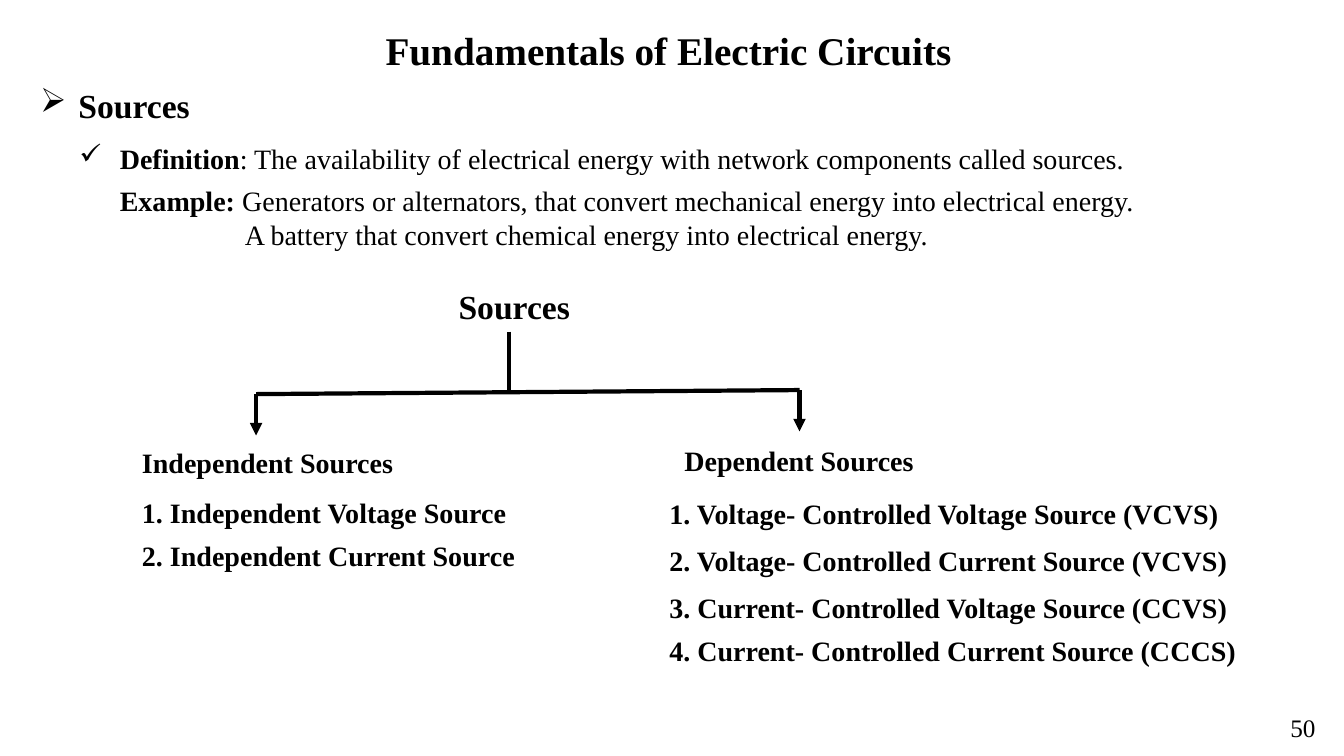
import pptx
import pptx.util
import pptx.dml.color
import pptx.enum.shapes
import pptx.enum.text
import pptx.oxml
import pptx.oxml.ns
import lxml.etree

Inches = pptx.util.Inches
Pt = pptx.util.Pt
qn = pptx.oxml.ns.qn
COLORS = {"ink": "000000", "page": "FFFFFF"}
FONT = "Times New Roman"


def ink():
    return pptx.dml.color.RGBColor.from_string(COLORS["ink"])


def style(run, size, bold):
    run.font.name = FONT
    run.font.size = Pt(size)
    run.font.bold = bold
    run.font.color.rgb = ink()


def label(slide, box, text, size, bold=True, wrap=False, line=None):
    shape = slide.shapes.add_textbox(*map(Inches, box))
    frame = shape.text_frame
    frame.word_wrap = wrap
    frame.auto_size = pptx.enum.text.MSO_AUTO_SIZE.SHAPE_TO_FIT_TEXT
    frame.text = text
    para = frame.paragraphs[0]
    if line:
        para.line_spacing = line
        para.space_after = Pt(8)
    style(para.runs[0], size, bold)


def link(slide, start, end, arrow=False):
    kind = pptx.enum.shapes.MSO_CONNECTOR.STRAIGHT
    line = slide.shapes.add_connector(kind, *map(Inches, start + end))
    line.line.color.rgb = ink()
    line.line.width = Pt(3)
    if arrow:
        tail = lxml.etree.SubElement(line.line._get_or_add_ln(), qn("a:tailEnd"))
        tail.set("type", "triangle")
    lxml.etree.SubElement(line._element.spPr, qn("a:effectLst"))


def head(slide, box):
    title = slide.shapes.title
    title.left, title.top, title.width, title.height = map(Inches, box)
    frame = title.text_frame
    frame.text = "Fundamentals of Electric Circuits"
    frame.word_wrap = False
    frame.auto_size = pptx.enum.text.MSO_AUTO_SIZE.NONE
    frame.vertical_anchor = pptx.enum.text.MSO_ANCHOR.TOP
    para = frame.paragraphs[0]
    para.alignment = pptx.enum.text.PP_ALIGN.CENTER
    style(para.runs[0], 28, True)


def notion(slide, box):
    rows = [
        ("Sources", "", 24, 12, 0.38, -0.38, "➢"),
        ("Definition",
         ": The availability of electrical energy with network components called sources.",
         20, 6, 0.79, -0.4, "✓"),
        ("Example:",
         " Generators or alternators, that convert mechanical energy into electrical energy.",
         20, 0, 2.16, -1.37, ""),
        ("", "A battery that convert chemical energy into electrical energy.",
         20, 0, 2.03, 0, ""),
    ]
    frame = slide.shapes.add_textbox(*map(Inches, box)).text_frame
    frame.word_wrap = True
    for i, (lead, rest, size, after, left, hang, mark) in enumerate(rows):
        para = frame.add_paragraph() if i else frame.paragraphs[0]
        para.space_after = Pt(after)
        for text, bold in ((lead, True), (rest, False)):
            if text:
                run = para.add_run()
                run.text = text
                style(run, size, bold)
        props = para._p.get_or_add_pPr()
        props.set("marL", str(Inches(left)))
        props.set("indent", str(Inches(hang)))
        if mark:
            lxml.etree.SubElement(props, qn("a:buChar")).set("char", mark)


def tree(slide, box):
    x, y, w, h = box
    label(slide, (x + 3.14, y, 1.57, 0.5), "Sources", 24, wrap=True)
    left, mid, right = x + 1.23, x + 3.74, x + 6.62
    low, high = y + 1.12, y + 1.08
    link(slide, (mid, y + 0.5), (mid, high))
    link(slide, (left, low), (right, high))
    for end, top in ((left, low), (right, high)):
        link(slide, (end, top), (end, top + 0.41), True)


def column(slide, box, items):
    x, y, w, h = box
    for text, dx, dy, width in items:
        label(slide, (x + dx, y + dy, width, 0.46), text, 20, line=1.07)


def main():
    deck = pptx.Presentation()
    deck.slide_width, deck.slide_height = Inches(13.33), Inches(7.5)
    slide = deck.slides.add_slide(deck.slide_layouts[5])
    fill = slide.background.fill
    fill.solid()
    fill.fore_color.rgb = pptx.dml.color.RGBColor.from_string(COLORS["page"])
    head(slide, (3.69, 0.21, 5.88, 0.57))
    notion(slide, (0.3, 0.79, 12.66, 2.1))
    tree(slide, (1.31, 2.79, 7.88, 1.53))
    column(slide, (1.31, 4.35, 3.93, 1.36), [
        ("Independent Sources", 0, 0, 2.71),
        ("1. Independent Voltage Source", 0, 0.49, 3.84),
        ("2. Independent Current Source", 0, 0.92, 3.93),
    ])
    column(slide, (6.54, 4.33, 5.87, 2.34), [
        ("Dependent Sources", 0.15, 0, 2.5),
        ("1. Voltage- Controlled Voltage Source (VCVS)", 0, 0.52, 5.69),
        ("2. Voltage- Controlled Current Source (VCVS)", 0, 0.99, 5.78),
        ("3. Current- Controlled Voltage Source (CCVS)", 0, 1.46, 5.78),
        ("4. Current- Controlled Current Source (CCCS)", 0, 1.88, 5.87),
    ])
    label(slide, (12.7, 7.02, 0.45, 0.4), "50", 18, bold=False)
    deck.save("out.pptx")


if __name__ == "__main__":
    main()
